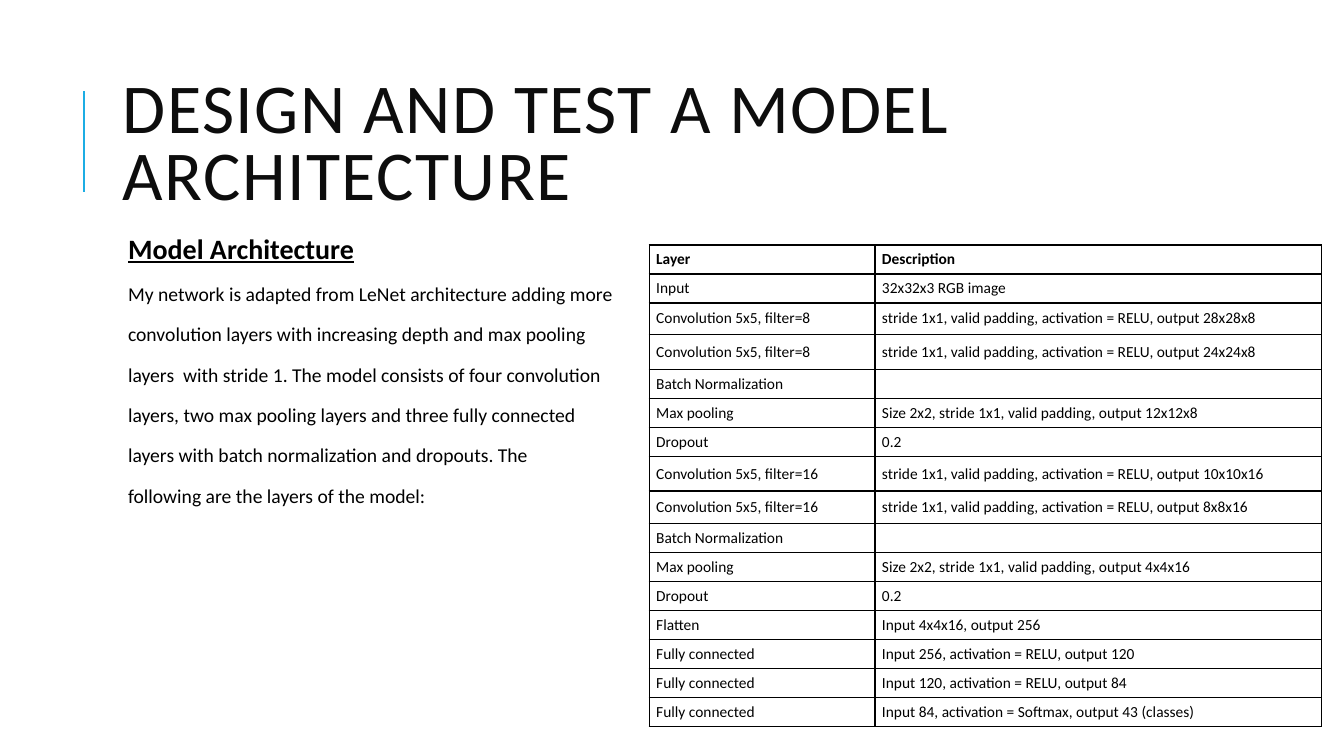
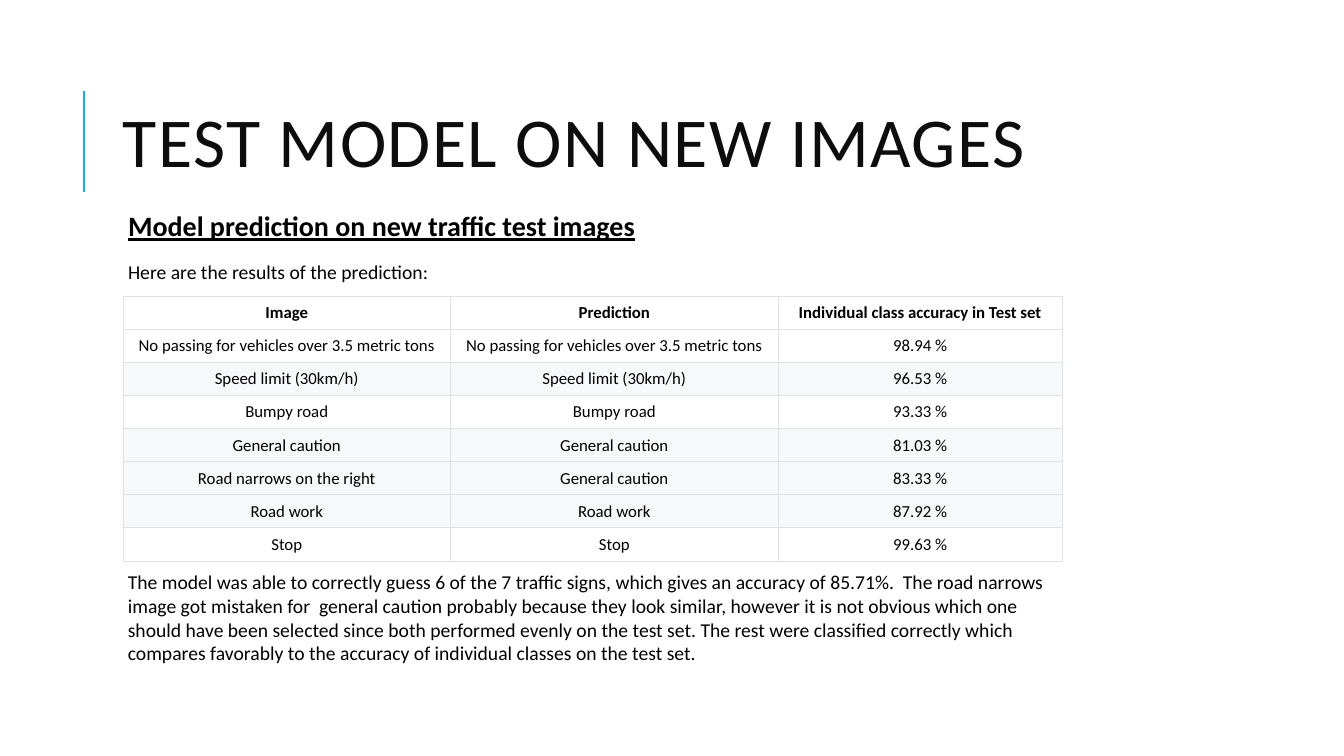
from pptx import Presentation
from pptx.dml.color import RGBColor
from pptx.enum.shapes import MSO_CONNECTOR
from pptx.enum.text import MSO_ANCHOR, MSO_AUTO_SIZE, PP_ALIGN
from pptx.oxml.xmlchemy import OxmlElement
from pptx.util import Inches, Pt

WHITE = RGBColor(0xFF, 0xFF, 0xFF)
BLACK = RGBColor(0x00, 0x00, 0x00)
INK = RGBColor(0x0D, 0x0D, 0x0D)
ACCENT = RGBColor(0x1C, 0xAD, 0xE4)
PALE = RGBColor(0xF6, 0xF8, 0xFA)
RULE = RGBColor(0xDF, 0xE2, 0xE5)

LEFT, CENTER = PP_ALIGN.LEFT, PP_ALIGN.CENTER
TOP, MIDDLE = MSO_ANCHOR.TOP, MSO_ANCHOR.MIDDLE
NO_FIT = MSO_AUTO_SIZE.NONE
STRAIGHT = MSO_CONNECTOR.STRAIGHT

FONT = "Calibri"
GRID_COLUMNS, GRID_ROWS = 160, 90
TITLE_AREA = (13.44, 7.68, 116.04, 19.68)
BAR_COLUMN, BAR_TOP, BAR_BOTTOM = 10, 10.8, 22.8


class Deck:
    def __init__(self):
        self.deck = Presentation()
        self.deck.slide_width = Inches(13.33)
        self.deck.slide_height = Inches(7.5)
        self.page = None

    def across(self, columns):
        return round(self.deck.slide_width * columns / GRID_COLUMNS)

    def down(self, rows):
        return round(self.deck.slide_height * rows / GRID_ROWS)

    def area(self, left, top, width, height):
        return self.across(left), self.down(top), self.across(width), self.down(height)

    def place(self, shape, area):
        shape.left, shape.top, shape.width, shape.height = self.area(*area)

    def style(self, para, size, color=BLACK, bold=False, underline=False, align=LEFT):
        para.alignment = align
        for span in para.runs:
            font = span.font
            font.name = FONT
            font.size = Pt(size)
            font.color.rgb = color
            font.bold = bold
            font.underline = underline

    def add_page(self, title):
        self.page = self.deck.slides.add_slide(self.deck.slide_layouts[1])
        bar = self.page.shapes.add_connector(
            STRAIGHT,
            self.across(BAR_COLUMN), self.down(BAR_BOTTOM),
            self.across(BAR_COLUMN), self.down(BAR_TOP),
        )
        bar.line.color.rgb = ACCENT
        bar.line.width = Pt(1.5)
        bar._element.spPr.append(OxmlElement("a:effectLst"))

        box = self.page.shapes.title
        self.place(box, TITLE_AREA)
        frame = box.text_frame
        frame.text = title
        frame.auto_size = NO_FIT
        frame.vertical_anchor = MIDDLE
        para = frame.paragraphs[0]
        para.line_spacing = 0.8
        self.style(para, 50, INK)
        for span in para.runs:
            span.font._element.set("spc", "100")

    def add_body(self, area, heading, lines):
        box = self.page.placeholders[1]
        self.place(box, area)
        frame = box.text_frame
        frame.text = "\n".join([heading, *lines])
        frame.auto_size = NO_FIT
        frame.vertical_anchor = TOP
        frame.margin_left = frame.margin_right = Inches(0.05)
        frame.margin_top = frame.margin_bottom = Inches(0.05)
        for index, para in enumerate(frame.paragraphs):
            is_heading = index == 0
            para.line_spacing = 0.9 if is_heading else 1.0
            para.space_before = para.space_after = Pt(6)
            self.style(para, 20 if is_heading else 14, bold=is_heading, underline=is_heading)
            properties = para._p.get_or_add_pPr()
            properties.set("marL", "0")
            properties.set("indent", "0")
            properties.append(OxmlElement("a:buNone"))

    def add_note(self, area, text):
        box = self.page.shapes.add_textbox(*self.area(*area))
        frame = box.text_frame
        frame.word_wrap = True
        frame.text = text
        self.style(frame.paragraphs[0], 14)

    def add_border(self, cell, color, width):
        properties = cell._tc.get_or_add_tcPr()
        for index, side in enumerate(("lnL", "lnR", "lnT", "lnB")):
            line = OxmlElement(f"a:{side}")
            line.set("w", str(Pt(width)))
            fill = OxmlElement("a:solidFill")
            tint = OxmlElement("a:srgbClr")
            tint.set("val", str(color))
            fill.append(tint)
            line.append(fill)
            properties.insert(index, line)

    def add_table(self, left, top, widths, heights, rows, size, margins, border,
                  align=LEFT, shaded=()):
        table = self.page.shapes.add_table(
            len(rows), len(widths), *self.area(left, top, sum(widths), sum(heights))
        ).table
        table.first_row = table.horz_banding = False
        for column, width in zip(table.columns, widths):
            column.width = self.across(width)
        for row, height in zip(table.rows, heights):
            row.height = self.down(height)
        for row_index, values in enumerate(rows):
            for column_index, value in enumerate(values):
                cell = table.cell(row_index, column_index)
                cell.text = value
                cell.vertical_anchor = MIDDLE
                cell.margin_left = cell.margin_right = Inches(margins[0])
                cell.margin_top = cell.margin_bottom = Inches(margins[1])
                cell.fill.solid()
                cell.fill.fore_color.rgb = PALE if row_index in shaded else WHITE
                self.add_border(cell, *border)
                para = cell.text_frame.paragraphs[0]
                self.style(para, size, bold=row_index == 0, align=align)
                if not value:
                    ending = OxmlElement("a:endParaRPr")
                    ending.set("sz", str(size * 100))
                    para._p.append(ending)


def add_architecture(deck):
    deck.add_page("DESIGN AND TEST A MODEL ARCHITECTURE")
    deck.add_body((14.64, 27.36, 144, 60.72), "Model Architecture", [
        "My network is adapted from LeNet architecture adding more",
        "convolution layers with increasing depth and max pooling",
        "layers  with stride 1. The model consists of four convolution",
        "layers, two max pooling layers and three fully connected",
        "layers with batch normalization and dropouts. The",
        "following are the layers of the model:",
    ])
    convolution = "stride 1x1, valid padding, activation = RELU, output "
    pooling = "Size 2x2, stride 1x1, valid padding, output "
    layers = [
        ("Layer", "Description"),
        ("Input", "32x32x3 RGB image"),
        ("Convolution 5x5, filter=8", convolution + "28x28x8"),
        ("Convolution 5x5, filter=8", convolution + "24x24x8"),
        ("Batch Normalization", ""),
        ("Max pooling", pooling + "12x12x8"),
        ("Dropout", "0.2"),
        ("Convolution 5x5, filter=16", convolution + "10x10x16"),
        ("Convolution 5x5, filter=16", convolution + "8x8x16"),
        ("Batch Normalization", ""),
        ("Max pooling", pooling + "4x4x16"),
        ("Dropout", "0.2"),
        ("Flatten", "Input 4x4x16, output 256"),
        ("Fully connected", "Input 256, activation = RELU, output 120"),
        ("Fully connected", "Input 120, activation = RELU, output 84"),
        ("Fully connected", "Input 84, activation = Softmax, output 43 (classes)"),
    ]
    tall_rows = {2: 3.72, 3: 4.2, 7: 4.08, 8: 3.84}
    heights = [tall_rows.get(index, 3.46) for index in range(len(layers))]
    deck.add_table(77.28, 29.16, [26.88, 53.16], heights, layers, 11,
                   margins=(0.07, 0.03), border=(BLACK, 1))


def add_predictions(deck):
    deck.add_page("TEST MODEL ON NEW IMAGES")
    deck.add_body((14.64, 24.72, 124.56, 57.6),
                  "Model prediction on new traffic test images",
                  ["Here are the results of the prediction:"])
    heavy = "No passing for vehicles over 3.5 metric tons"
    results = [
        ("Image", "Prediction", "Individual class accuracy in Test set"),
        (heavy, heavy, "98.94 %"),
        ("Speed limit (30km/h)", "Speed limit (30km/h)", "96.53 %"),
        ("Bumpy road", "Bumpy road", "93.33 %"),
        ("General caution", "General caution", "81.03 %"),
        ("Road narrows on the right", "General caution", "83.33 %"),
        ("Road work", "Road work", "87.92 %"),
        ("Stop", "Stop", "99.63 %"),
    ]
    deck.add_table(14.64, 35.3, [39, 39, 33.84], [3.94] * len(results), results, 12,
                   margins=(0.14, 0.06), border=(RULE, 0.75), align=CENTER,
                   shaded=(2, 4, 5, 6))
    deck.add_note((14.04, 67.32, 113.16, 12.48), (
        "The model was able to correctly guess 6 of the 7 traffic signs, which gives an "
        "accuracy of 85.71%.  The road narrows image got mistaken for  general caution "
        "probably because they look similar, however it is not obvious which one should "
        "have been selected since both performed evenly on the test set. The rest were "
        "classified correctly which compares favorably to the accuracy of individual "
        "classes on the test set."
    ))


def main():
    deck = Deck()
    add_architecture(deck)
    add_predictions(deck)
    deck.deck.save("out.pptx")


if __name__ == "__main__":
    main()
